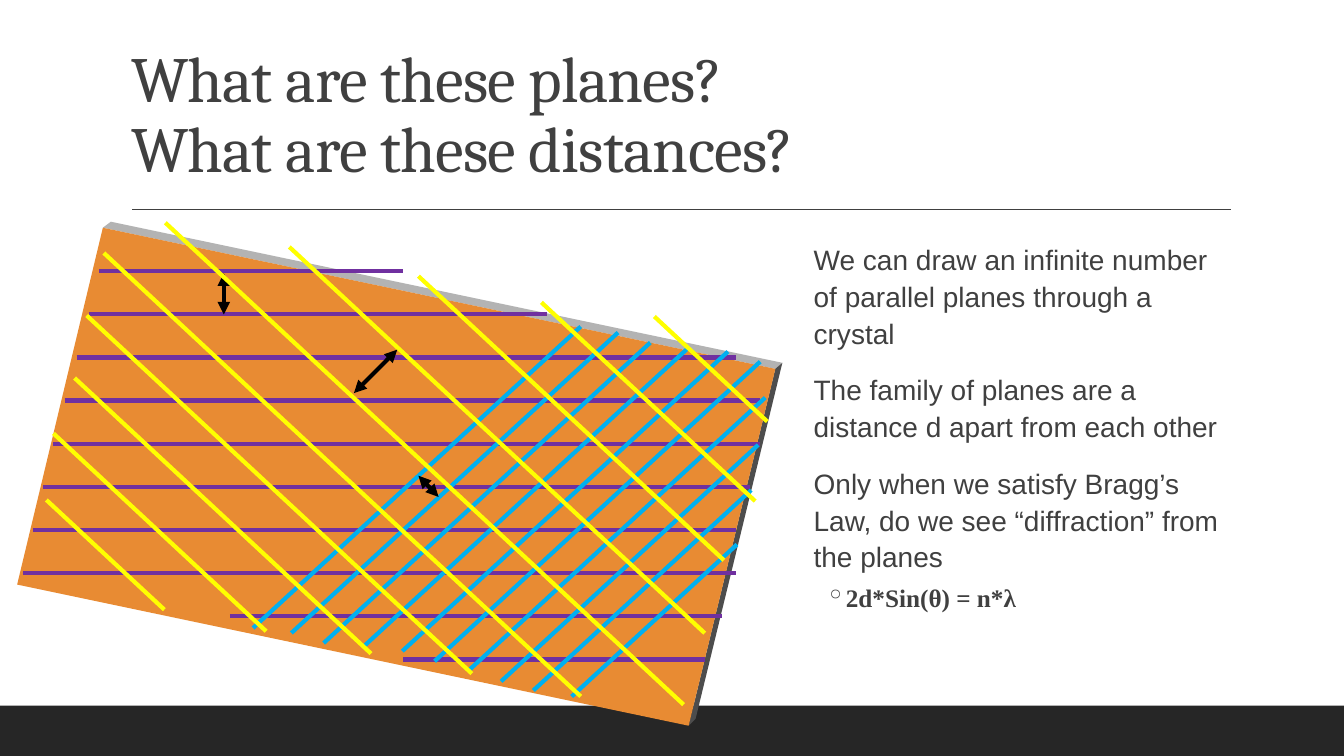
from pptx import Presentation
from pptx.dml.color import RGBColor as Rgb
from pptx.enum.shapes import MSO_CONNECTOR as Conn, MSO_SHAPE as Shape
from pptx.enum.text import MSO_ANCHOR as Anchor, PP_ALIGN as Align
from pptx.oxml.ns import qn
from pptx.util import Pt
from lxml.etree import SubElement as Sub

PX = 9144
INK = "404040"


def px(*nums):
    return [round(n * PX) for n in nums]


def hue(code):
    return Rgb.from_string(code)


def paint(shape, code):
    shape.shadow.inherit = False
    shape.fill.solid()
    shape.fill.fore_color.rgb = hue(code)
    shape.line.fill.background()


def rule(slide, ends, code, width, heads=False):
    line = slide.shapes.add_connector(Conn.STRAIGHT, *px(*ends))
    line.line.color.rgb = hue(code)
    line.line.width = Pt(width)
    prop = line._element.spPr
    if heads:
        for tag in ("a:headEnd", "a:tailEnd"):
            Sub(prop.find(qn("a:ln")), qn(tag), type="triangle")
    Sub(prop, qn("a:effectLst"))


def write(para, text, size, face, bold=False):
    run = para.add_run()
    run.text = text
    font = run.font
    font.size, font.name, font.bold = Pt(size), face, bold
    font.color.rgb = hue(INK)
    return run


def frame(slide, box):
    left, top, wide, high = box
    band = slide.shapes.add_shape(
        Shape.RECTANGLE, *px(left, top + high - 50, wide, 50))
    paint(band, "262626")
    rule(slide, (left + 131, top + 208, left + 1221, top + 208), INK, 1)


def head(slide, box, lines):
    title = slide.shapes.title
    title.left, title.top, title.width, title.height = px(*box)
    body = title.text_frame
    body.word_wrap = True
    body.vertical_anchor = Anchor.BOTTOM
    para = body.paragraphs[0]
    para.alignment = Align.LEFT
    para.line_spacing = 0.9
    for i, text in enumerate(lines):
        if i:
            para.add_line_break()
        run = write(para, text, 46, "Cambria")
        run._r.get_or_add_rPr().set("spc", "-50")


def notes(slide, box, points, law):
    body = slide.shapes.add_textbox(*px(*box)).text_frame
    body.word_wrap = True
    body.margin_left = body.margin_right = 0
    for i, text in enumerate(points):
        para = body.add_paragraph() if i else body.paragraphs[0]
        para.line_spacing = 1.1
        para.space_before = Pt(12 if i else 0)
        para.space_after = Pt(2)
        para._p.get_or_add_pPr().set("marL", str(10 * PX))
        write(para, text, 20, "Arial")
    para = body.add_paragraph()
    para.level = 1
    para.line_spacing = 1.1
    para.space_before, para.space_after = Pt(2), Pt(4)
    prop = para._p.get_or_add_pPr()
    prop.set("marL", str(42 * PX))
    prop.set("indent", str(-20 * PX))
    Sub(prop, qn("a:buChar"), char="◦")
    write(para, law, 18, "Times New Roman", True)


def slab(slide, box):
    left, top = box
    faces = (
        ("B3B3B3", [(102, 26), (110, 20), (776, 160), (769, 166)]),
        ("4D4D4D", [(769, 166), (776, 160), (690, 513), (683, 520)]),
        ("E88B33", [(102, 26), (769, 166), (683, 520), (17, 380)]),
    )
    for code, dots in faces:
        dots = [(left + x, top + y) for x, y in dots]
        pen = slide.shapes.build_freeform(*dots[0], scale=PX)
        pen.add_line_segments(dots[1:], close=True)
        paint(pen.convert_to_shape(), code)


def planes(slide, box, code, slope, spans, arrow):
    left, top = box
    for x, y, end in spans:
        ends = (left + x, top + y, left + end, top + y + slope * (end - x))
        rule(slide, ends, code, 3)
    x, y, end, low = arrow
    rule(slide, (left + x, top + y, left + end, top + low), "000000", 3, True)


def crystal(slide, box):
    slab(slide, box)
    rows = [(98, 400), (88, 543), (76, 730), (64, 754), (53, 754),
            (43, 744), (33, 730), (23, 730), (228, 716), (400, 699)]
    flat = [(x, 69 + 42.8 * i, end) for i, (x, end) in enumerate(rows)]
    rise = [(251, 423, 576), (289, 428, 613), (321, 438, 645),
            (360, 442, 683), (399, 446, 722), (431, 456, 754),
            (465, 465, 759), (497, 476, 752), (529, 485, 745),
            (567, 491, 731)]
    fall = [(649, 114, 761), (537, 100, 749), (415, 74, 718),
            (287, 45, 699), (164, 21, 678), (103, 51, 576),
            (86, 113, 468), (74, 175, 368), (53, 230, 264),
            (46, 296, 163)]
    planes(slide, box, "7030A0", 0, flat, (222, 71, 222, 112))
    planes(slide, box, "00B0F0", -0.92, rise, (415, 272, 435, 293))
    planes(slide, box, "FFFF00", 0.93, fall, (394, 147, 351, 190))


def main():
    deck = Presentation()
    deck.slide_width, deck.slide_height = px(1333, 750)
    slide = deck.slides.add_slide(deck.slide_layouts[5])
    frame(slide, (0, 0, 1333, 750))
    head(slide, (120, 31, 1100, 159),
         ("What are these planes?", "What are these distances?"))
    notes(slide, (797, 232, 423, 410), (
        "We can draw an infinite number of parallel planes through a crystal",
        "The family of planes are a distance d apart from each other",
        "Only when we satisfy Bragg’s Law, do we see “diffraction” "
        "from the planes",
    ), "2d*Sin(θ) = n*λ")
    crystal(slide, (0, 200))
    deck.save("out.pptx")


if __name__ == "__main__":
    main()
